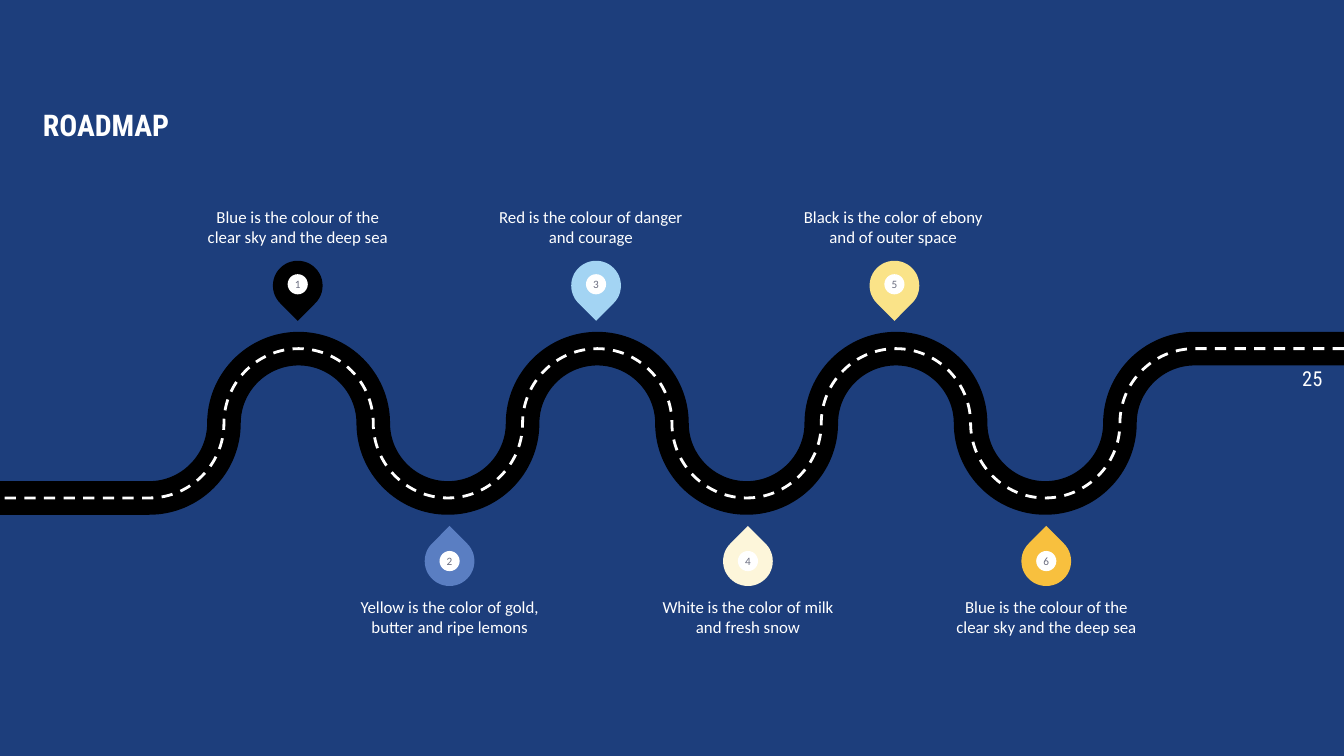
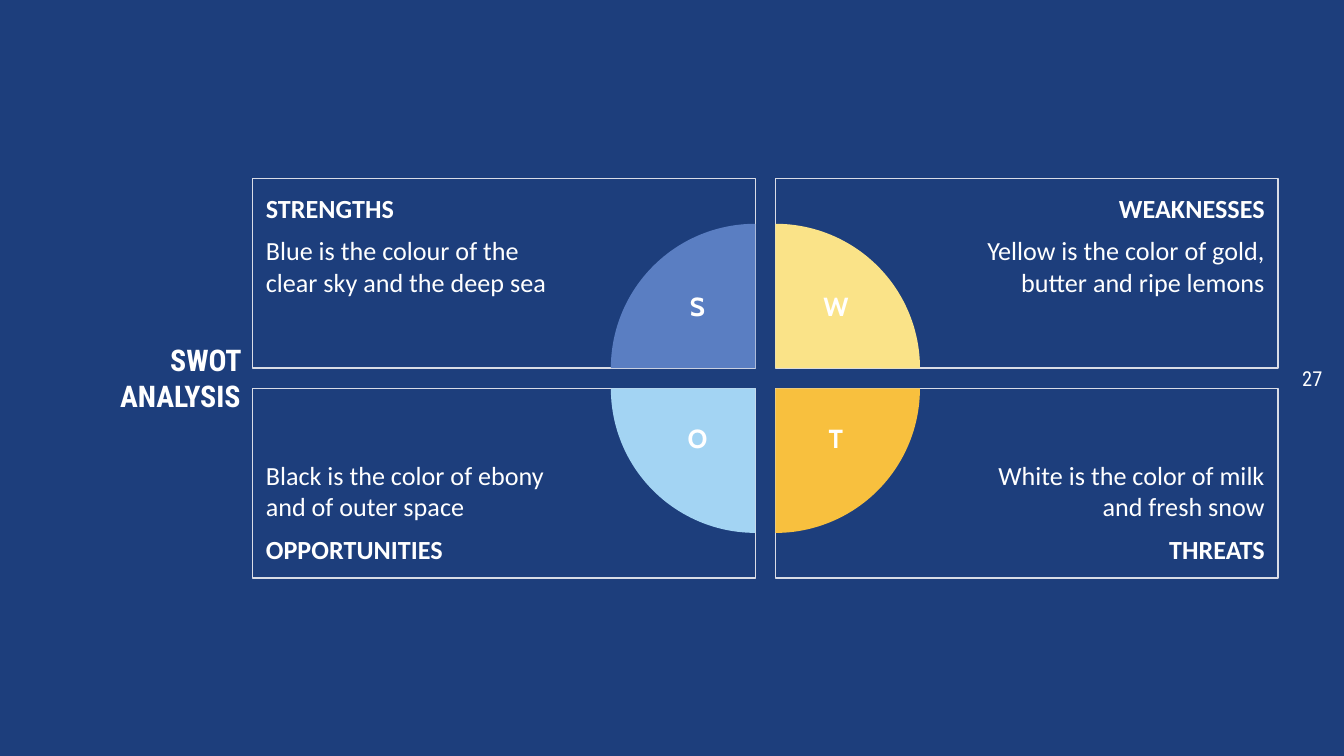
from lxml import etree
from pptx import Presentation
from pptx import util as u
from pptx.dml.color import RGBColor
from pptx.enum import dml, shapes, text
from pptx.oxml.ns import qn

# Shared look
NAVY = RGBColor(0x1D, 0x3E, 0x7C)
WHITE = RGBColor(0xFF, 0xFF, 0xFF)
BLACK = RGBColor(0x00, 0x00, 0x00)
GREY = RGBColor(0x6B, 0x6E, 0x81)
FRAME = RGBColor(0xD9, 0xDC, 0xE6)
BLUE = RGBColor(0x5A, 0x7E, 0xC2)
SKY = RGBColor(0xA3, 0xD4, 0xF3)
YELLOW = RGBColor(0xFA, 0xE3, 0x88)
CREAM = RGBColor(0xFD, 0xF6, 0xDA)
AMBER = RGBColor(0xF8, 0xC0, 0x3E)
HEAD, BODY, LETTER = "Roboto Condensed", "Calibri", "Cabin"
W, H = 10, 10 * 9 / 16
LEFT, CENTER, RIGHT = text.PP_ALIGN.LEFT, text.PP_ALIGN.CENTER, text.PP_ALIGN.RIGHT
TOP, MIDDLE, BOTTOM = text.MSO_ANCHOR.TOP, text.MSO_ANCHOR.MIDDLE, text.MSO_ANCHOR.BOTTOM
PRESET = shapes.MSO_SHAPE

# Content: colour, caption, caption shift; stops alternate above and below the road
STOPS = [
    (BLACK, "Blue is the colour of the clear sky and the deep sea", 0),
    (BLUE, "Yellow is the color of gold, butter and ripe lemons", 0),
    (SKY, "Red is the colour of danger and courage", -0.04),
    (CREAM, "White is the color of milk and fresh snow", 0),
    (YELLOW, "Black is the color of ebony and of outer space", -0.01),
    (AMBER, "Blue is the colour of the clear sky and the deep sea", 0),
]
# Column, row, letter, heading, note, colour; clockwise from the top left
SWOT = [
    (0, 0, "S", "STRENGTHS", "Blue is the colour of the clear sky and the deep sea", BLUE),
    (1, 0, "W", "WEAKNESSES", "Yellow is the color of gold, butter and ripe lemons", YELLOW),
    (1, 1, "T", "THREATS", "White is the color of milk and fresh snow", AMBER),
    (0, 1, "O", "OPPORTUNITIES", "Black is the color of ebony and of outer space", SKY),
]


def write(sp, paras, size, font=BODY, color=WHITE, align=LEFT, anchor=TOP, ins=(0, 0, 0, 0)):
    """Fill a shape with (text, bold) paragraphs."""
    tf = sp.text_frame
    tf.word_wrap = True
    tf.vertical_anchor = anchor
    tf.margin_left, tf.margin_top, tf.margin_right, tf.margin_bottom = map(u.Inches, ins)
    for i, (words, bold) in enumerate(paras):
        p = tf.add_paragraph() if i else tf.paragraphs[0]
        p.alignment = align
        if i:
            p.space_before = p.space_after = u.Pt(6)
        r = p.add_run()
        r.text = words
        r.font.name, r.font.size, r.font.bold = font, u.Pt(size), bold
        r.font.color.rgb = color


def label(s, box, words, size, bold=False, **style):
    write(s.shapes.add_textbox(*map(u.Inches, box)), [(words, bold)], size, **style)


def paint(sp, fill=None, line=None, width=0.75):
    sp.shadow.inherit = False
    if fill is None:
        sp.fill.background()
    else:
        sp.fill.solid()
        sp.fill.fore_color.rgb = fill
    if line is None:
        sp.line.fill.background()
    else:
        sp.line.color.rgb = line
        sp.line.width = u.Pt(width)


def add_shape(parent, kind, box, **look):
    sp = parent.shapes.add_shape(kind, *map(u.Inches, box))
    paint(sp, **look)
    return sp


def new_slide(prs, title, title_box, number, **title_style):
    s = prs.slides.add_slide(prs.slide_layouts[6])
    s.background.fill.solid()
    s.background.fill.fore_color.rgb = NAVY
    label(s, title_box, title, 16, bold=True, font=HEAD, **title_style)
    label(s, (9.24, 0, 0.6, H), number, 11, font=HEAD, align=RIGHT, anchor=MIDDLE)
    return s


def add_road(s):
    """Outline through the quarter-turn points, from right to left, then rounded."""
    radius, mid, turns = W / 18, 3.15, 14
    pts = [(W, mid - radius)]
    pts += [(radius * (turns + 2 - j), mid + radius * (-1, 0, 1, 0)[j % 4])
            for j in range(turns + 1)]
    pts += [(0, mid + radius)]
    pts = [(u.Inches(x), u.Inches(y)) for x, y in pts]
    fb = s.shapes.build_freeform(*pts[0], scale=1.0)
    fb.add_line_segments(pts[1:], close=False)
    sp = fb.convert_to_shape()
    round_turns(sp)
    return sp


def round_turns(sp):
    """Make every inner segment a quarter circle, level and upright ends in turn."""
    bend = 0.55
    segments = list(sp.element.iter(qn("a:lnTo")))
    ends = [(int(seg[0].get("x")), int(seg[0].get("y"))) for seg in segments]
    for j, seg in enumerate(segments[1:-1]):
        (x0, y0), (x1, y1) = ends[j], ends[j + 1]
        dx, dy = (x1 - x0) * bend, (y1 - y0) * bend
        if j % 2:
            controls = [(x0, y0 + dy), (x1 - dx, y1)]
        else:
            controls = [(x0 + dx, y0), (x1, y1 - dy)]
        curve = etree.Element(qn("a:cubicBezTo"))
        for x, y in controls + [(x1, y1)]:
            etree.SubElement(curve, qn("a:pt"), x=str(round(x)), y=str(round(y)))
        seg.getparent().replace(seg, curve)


def roadmap(prs):
    s = new_slide(prs, "ROADMAP", (0.32, 0.79, 8.46, 0.28), "25")

    # Road and its dashed centre line
    paint(add_road(s), line=BLACK, width=18)
    dashes = add_road(s)
    paint(dashes, line=WHITE, width=1.5)
    dashes.line.dash_style = dml.MSO_LINE.DASH

    # Numbered pins with captions
    pin, dot, cap_w, cap_h, step = 0.37, 0.15, 1.41, 0.58, 2.22
    for i, (color, caption, shift) in enumerate(STOPS):
        below = i % 2
        x = (3.16 if below else 2.03) + i // 2 * step
        y, dot_y, cap_y = (3.99, 4.1, 4.44) if below else (1.94, 2.04, 1.26)
        group = s.shapes.add_group_shape()
        drop = add_shape(group, PRESET.TEAR, (x, y, pin, pin), fill=color)
        drop.adjustments[0] = 1
        drop.rotation = 315 if below else 135
        disc = add_shape(group, PRESET.OVAL, (x + (pin - dot) / 2, dot_y, dot, dot), fill=WHITE)
        write(disc, [(str(i + 1), False)], 6, color=GREY, align=CENTER, anchor=MIDDLE)
        label(s, (x + (pin - cap_w) / 2 + shift, cap_y, cap_w, cap_h), caption, 9,
              align=CENTER, anchor=TOP if below else BOTTOM)


def swot(prs):
    s = new_slide(prs, "SWOT ANALYSIS", (0.32, 1.12, 1.47, 3.38), "27",
                  align=RIGHT, anchor=MIDDLE)
    box_w, box_h, gap, left, top = 3.74, 1.41, 0.15, 1.88, 1.33
    disc, cell, pad, wide = 2.15, 0.4, 0.1, 1.5
    for turn, (col, row, letter, heading, note, color) in enumerate(SWOT):
        x, y = left + col * (box_w + gap), top + row * (box_h + gap)

        # Framed text; the heading stays on the outer edge
        frame = add_shape(s, PRESET.RECTANGLE, (x, y, box_w, box_h), line=FRAME)
        paras = [(heading, True), (note, False)]
        write(frame, paras[::-1] if row else paras, 14,
              align=RIGHT if col else LEFT, anchor=BOTTOM if row else TOP,
              ins=(wide, pad, pad, pad) if col else (pad, pad, wide, pad))

        # Quarter disc centred on the inner corner
        cx, cy = x + (1 - col) * box_w, y + (1 - row) * box_h
        pie = add_shape(s, PRESET.PIE, (cx - disc / 2, cy - disc / 2, disc, disc), fill=color)
        pie.adjustments[0], pie.adjustments[1] = 108, 162
        pie.rotation = 90 * turn
        label(s, (6.02 if col else 4.99, 3.09 if row else 2.11, cell, cell), letter, 14,
              bold=True, font=LETTER, align=CENTER, ins=(0, 0.05, 0, 0.05))


def main():
    prs = Presentation()
    prs.slide_width, prs.slide_height = u.Inches(W), u.Inches(H)
    roadmap(prs)
    swot(prs)
    prs.save("out.pptx")


if __name__ == "__main__":
    main()
